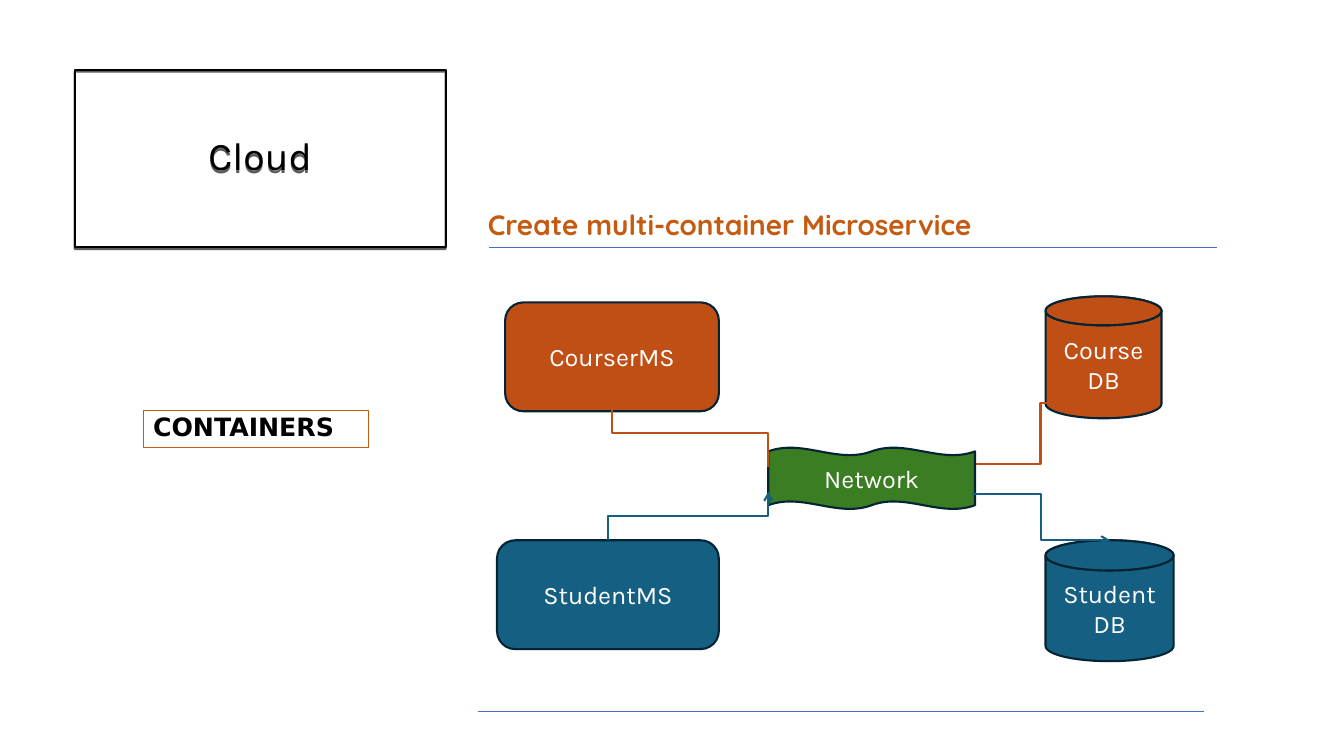
from dataclasses import dataclass

from lxml import etree
from pptx import Presentation
from pptx.dml.color import RGBColor
from pptx.enum.shapes import MSO_CONNECTOR, MSO_SHAPE
from pptx.enum.text import MSO_ANCHOR, MSO_AUTO_SIZE, PP_ALIGN
from pptx.oxml.ns import qn
from pptx.util import Inches, Pt

STRAIGHT, ELBOW = MSO_CONNECTOR.STRAIGHT, MSO_CONNECTOR.ELBOW
RECTANGLE, ROUNDED = MSO_SHAPE.RECTANGLE, MSO_SHAPE.ROUNDED_RECTANGLE
CAN, WAVE, OVAL = MSO_SHAPE.CAN, MSO_SHAPE.DOUBLE_WAVE, MSO_SHAPE.OVAL
LEFT, CENTER = PP_ALIGN.LEFT, PP_ALIGN.CENTER
TOP, MIDDLE = MSO_ANCHOR.TOP, MSO_ANCHOR.MIDDLE
FIXED_SIZE = MSO_AUTO_SIZE.NONE
TITLE_ONLY = 5
LID_SHARE = 0.25


@dataclass(frozen=True)
class Theme:
    black: str = "000000"
    white: str = "FFFFFF"
    rule: str = "4472C4"
    accent: str = "C55A11"
    course: str = "C04F15"
    student: str = "156082"
    network: str = "3B7D23"
    outline: str = "042433"
    body_font: str = "Karla"
    heading_font: str = "Quicksand"
    label_font: str = "DejaVu Sans"
    title_size: int = 28
    heading_size: int = 20
    body_size: int = 18


THEME = Theme()


@dataclass(frozen=True)
class Box:
    left: float
    top: float
    width: float
    height: float

    def inner(self, left, top, width, height):
        return Box(self.left + left, self.top + top, width, height)

    def point(self, x, y):
        return self.left + x, self.top + y

    def lengths(self):
        return [Inches(v) for v in (self.left, self.top, self.width, self.height)]


def color(value):
    return RGBColor.from_string(value)


def write(shape, text, font, size, ink, bold=False, align=CENTER, anchor=MIDDLE, spacing=1.0):
    frame = shape.text_frame
    frame.word_wrap = True
    frame.auto_size = FIXED_SIZE
    frame.vertical_anchor = anchor
    para = frame.paragraphs[0]
    para.alignment = align
    para.line_spacing = spacing
    span = para.add_run()
    span.text = text
    span.font.name = font
    span.font.size = Pt(size)
    span.font.bold = bold
    span.font.color.rgb = color(ink)


def outline(shape, ink, width):
    shape.line.color.rgb = color(ink)
    shape.line.width = Pt(width)


def add_line(page, kind, start, end, ink, width):
    line = page.shapes.add_connector(kind, *[Inches(v) for v in (*start, *end)])
    outline(line, ink, width)
    etree.SubElement(line.element.spPr, qn("a:effectLst"))
    return line


def add_elbow(page, start, end, ink, vertical=False):
    """Arrow with a bend halfway; a vertical one leaves its start up or down."""
    if vertical:
        # Lay the route out flat around its centre, then turn it a quarter
        (x1, y1), (x2, y2) = start, end
        middle_x, middle_y = (x1 + x2) / 2, (y1 + y2) / 2
        along, across = (y2 - y1) / 2, (x1 - x2) / 2
        start = middle_x - along, middle_y - across
        end = middle_x + along, middle_y + across
    arrow = add_line(page, ELBOW, start, end, ink, 1.5)
    if vertical:
        arrow.element.spPr.find(qn("a:xfrm")).set("rot", "5400000")
    line_xml = arrow.element.spPr.find(qn("a:ln"))
    etree.SubElement(line_xml, qn("a:tailEnd"), type="arrow")


def add_solid(page, kind, box, fill):
    solid = page.shapes.add_shape(kind, *box.lengths())
    solid.shadow.inherit = False
    solid.fill.solid()
    solid.fill.fore_color.rgb = color(fill)
    outline(solid, THEME.outline, 1.5)
    return solid


def add_node(page, kind, box, text, fill):
    node = add_solid(page, kind, box, fill)
    write(node, text, THEME.body_font, THEME.body_size, THEME.white)
    if kind == CAN:
        # Lid in the same colour as the body
        lid_height = LID_SHARE * min(box.width, box.height)
        add_solid(page, OVAL, box.inner(0, 0, box.width, lid_height), fill)


def title_panel(page, box):
    title = page.shapes.title
    title.left, title.top, title.width, title.height = box.lengths()
    outline(title, THEME.black, 1.5)
    write(title, "Cloud", THEME.body_font, THEME.title_size, THEME.black, spacing=0.9)
    # Drop shadow straight below
    effects = etree.SubElement(title.element.spPr, qn("a:effectLst"))
    shadow = etree.SubElement(effects, qn("a:outerShdw"), dist=str(Pt(1.5)),
                              dir="5400000", algn="ctr", rotWithShape="0")
    ink = etree.SubElement(shadow, qn("a:srgbClr"), val=THEME.black)
    etree.SubElement(ink, qn("a:alpha"), val="63000")


def topic_label(page, box):
    label = page.shapes.add_shape(RECTANGLE, *box.lengths())
    label.shadow.inherit = False
    label.fill.background()
    outline(label, THEME.accent, 0.75)
    write(label, "CONTAINERS", THEME.label_font, THEME.body_size, THEME.black,
          bold=True, align=LEFT, anchor=TOP, spacing=0.9)


def content_frame(page, box):
    # Rules above and below the diagram
    for left, top, width in ((0.11, 0.44, 7.22), (0, box.height, 7.2)):
        add_line(page, STRAIGHT, box.point(left, top), box.point(left + width, top),
                 THEME.rule, 0.5)
    # Heading
    heading = page.shapes.add_textbox(*box.inner(0, 0, 5.52, 0.44).lengths())
    write(heading, "Create multi-container Microservice", THEME.heading_font,
          THEME.heading_size, THEME.accent, bold=True, align=LEFT, anchor=TOP)


def service_diagram(page, box):
    # Services, databases and the network between them
    nodes = (
        (ROUNDED, (0.08, 0.06, 2.12, 1.08), "CourserMS", THEME.course),
        (CAN, (5.44, 0, 1.15, 1.21), "Course DB", THEME.course),
        (CAN, (5.44, 2.42, 1.27, 1.2), "Student DB", THEME.student),
        (ROUNDED, (0, 2.42, 2.2, 1.08), "StudentMS", THEME.student),
        (WAVE, (2.69, 1.5, 2.05, 0.61), "Network", THEME.network),
    )
    for kind, place, text, fill in nodes:
        add_node(page, kind, box.inner(*place), text, fill)
    # Arrows: start, end, colour, leaves vertically
    arrows = (
        ((2.69, 1.69), (1.14, 1.03), THEME.course, True),
        ((4.75, 1.66), (6.03, 1.06), THEME.course, False),
        ((1.1, 2.42), (2.69, 1.94), THEME.student, True),
        ((4.71, 1.96), (6.08, 2.42), THEME.student, False),
    )
    for start, end, ink, vertical in arrows:
        add_elbow(page, box.point(*start), box.point(*end), ink, vertical)


def main():
    deck = Presentation()
    deck.slide_width, deck.slide_height = Inches(13.33), Inches(7.5)
    page = deck.slides.add_slide(deck.slide_layouts[TITLE_ONLY])
    title_panel(page, Box(0.74, 0.69, 3.68, 1.76))
    topic_label(page, Box(1.42, 4.07, 2.24, 0.37))
    content_frame(page, Box(4.74, 2.01, 7.33, 5.05))
    service_diagram(page, Box(4.93, 2.94, 6.71, 3.62))
    deck.save("out.pptx")


if __name__ == "__main__":
    main()
